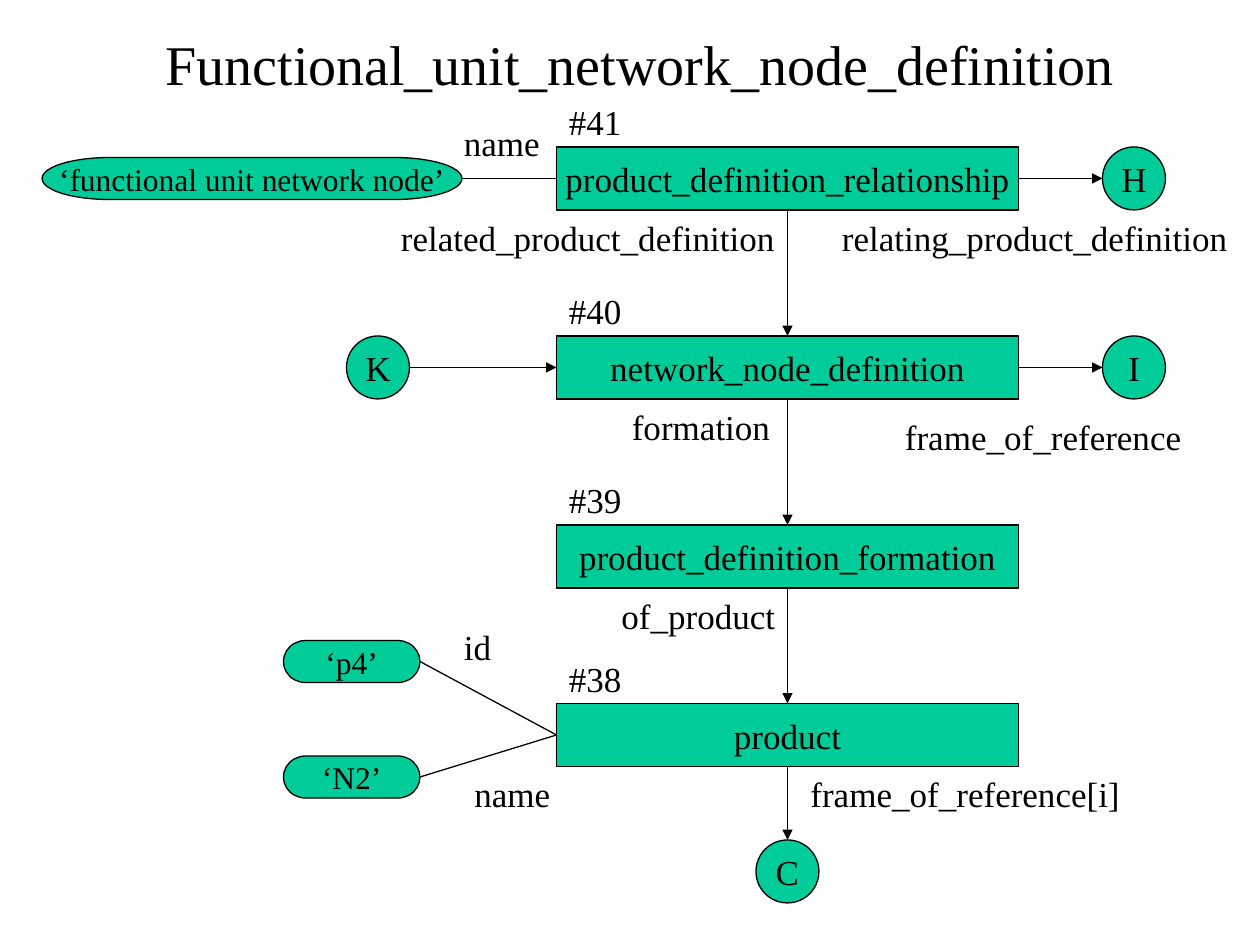
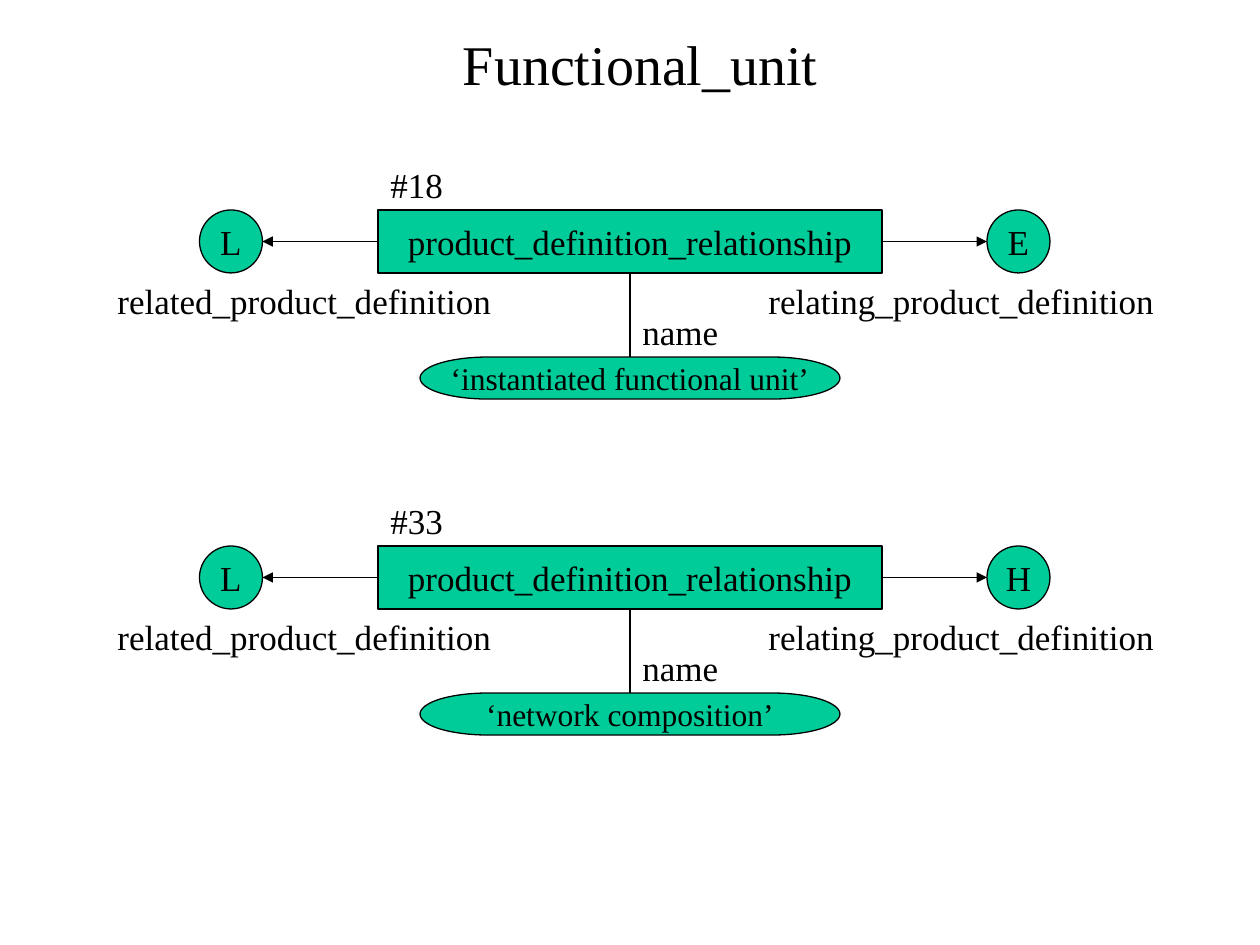
from pptx import Presentation
from pptx.dml.color import RGBColor
from pptx.enum import shapes, text
from pptx.oxml import xmlchemy as xml
from pptx.util import Inches, Pt

FONT = "Times New Roman"
HUES = {"ink": "000000", "node": "00CC99", "page": "FFFFFF"}
KIND = shapes.MSO_SHAPE
MID = text.MSO_ANCHOR.MIDDLE
NODE_H, PILL_H, DOT = 0.5, 0.33, 0.5
TAG_UP = 0.42  # rise of a "#" tag above its entity


def hue(name):
    return RGBColor.from_string(HUES[name])


def snap(inches):
    """A length on the grid of twelfths of an inch."""
    return Inches(round(inches * 12) / 12)


def write(frame, words, size=20, align=text.PP_ALIGN.CENTER, anchor=MID, wrap=False):
    frame.word_wrap = wrap
    frame.vertical_anchor = anchor
    para = frame.paragraphs[0]
    para.alignment = align
    run = para.add_run()
    run.text = words
    run.font.size = Pt(size)
    run.font.name = FONT
    run.font.color.rgb = hue("ink")


def start(deck, words):
    """Add a slide with the shared background and title style."""
    slide = deck.slides.add_slide(deck.slide_layouts[5])
    slide.background.fill.solid()
    slide.background.fill.fore_color.rgb = hue("page")
    title = slide.shapes.title
    title.left, title.top = snap(0.83), snap(0.17)
    title.width, title.height = snap(8.5), snap(0.67)
    write(title.text_frame, words, size=32, wrap=True)
    return slide


def shape(slide, kind, words, x, y, w, h, size=20):
    item = slide.shapes.add_shape(kind, snap(x), snap(y), snap(w), snap(h))
    item.shadow.inherit = False
    item.fill.solid()
    item.fill.fore_color.rgb = hue("node")
    item.line.color.rgb = hue("ink")
    item.line.width = Pt(0.75)
    write(item.text_frame, words, size=size)
    return item


def label(slide, words, x, y, w):
    """One line of text, with no right inset so that it never breaks."""
    box = slide.shapes.add_textbox(snap(x), snap(y), Inches(w), Inches(0.44))
    box.text_frame.margin_right = 0
    write(box.text_frame, words, align=text.PP_ALIGN.LEFT,
          anchor=text.MSO_ANCHOR.TOP, wrap=True)


def node(slide, tag, words, x, y, w):
    """An entity box with its instance tag above the left corner."""
    label(slide, tag, x, y - TAG_UP, 0.61)
    return shape(slide, KIND.RECTANGLE, words, x, y, w, NODE_H)


def dot(slide, words, x, y):
    return shape(slide, KIND.FLOWCHART_CONNECTOR, words, x, y, DOT, DOT)


def pill(slide, words, x, y, w):
    return shape(slide, KIND.FLOWCHART_TERMINATOR, words, x, y, w, PILL_H, size=18)


def side(item, edge):
    """The middle of one edge: left, right, top or bottom."""
    across = {"left": 0, "right": 2}.get(edge, 1)
    down = {"top": 0, "bottom": 2}.get(edge, 1)
    return item.left + item.width * across // 2, item.top + item.height * down // 2


def link(slide, first, leave, last, enter, arrow=True):
    line = slide.shapes.add_connector(
        shapes.MSO_CONNECTOR.STRAIGHT, *side(first, leave), *side(last, enter))
    line.line.color.rgb = hue("ink")
    line.line.width = Pt(0.75)
    if arrow:
        tail = xml.OxmlElement("a:tailEnd")
        tail.set("type", "triangle")
        line.line._get_or_add_ln().append(tail)
    line._element.spPr.append(xml.OxmlElement("a:effectLst"))


def network(deck):
    slide = start(deck, "Functional_unit_network_node_definition")

    # Entity column, linked downwards
    rows = [("#41", "product_definition_relationship", 1.17),
            ("#40", "network_node_definition", 2.67),
            ("#39", "product_definition_formation", 4.17),
            ("#38", "product", 5.58)]
    nodes = [node(slide, tag, words, 4.42, y, 3.67) for tag, words, y in rows]
    chain = nodes + [dot(slide, "C", 6, 6.67)]
    for upper, lower in zip(chain, chain[1:]):
        link(slide, upper, "bottom", lower, "top")

    # References to other diagrams
    for words, row in (("H", 0), ("I", 1)):
        link(slide, nodes[row], "right", dot(slide, words, 8.75, rows[row][2]), "left")
    link(slide, dot(slide, "K", 2.75, 2.67), "right", nodes[1], "left")

    # Attribute values
    for words, x, y, w, row in (("‘functional unit network node’", 0.33, 1.25, 3.33, 0),
                                ("‘p4’", 2.25, 5.08, 1.08, 3),
                                ("‘N2’", 2.25, 6, 1.08, 3)):
        value = pill(slide, words, x, y, w)
        link(slide, value, "right", nodes[row], "left", arrow=False)

    # Attribute names
    for words, x, y, w in (("name", 3.58, 0.92, 0.8),
                           ("related_product_definition", 3.08, 1.67, 3.17),
                           ("relating_product_definition", 6.58, 1.67, 3.26),
                           ("formation", 4.92, 3.17, 1.3),
                           ("frame_of_reference", 7.08, 3.25, 2.39),
                           ("of_product", 4.83, 4.67, 1.42),
                           ("id", 3.58, 4.92, 0.41),
                           ("name", 3.67, 6.08, 0.8),
                           ("frame_of_reference[i]", 6.33, 6.08, 2.65)):
        label(slide, words, x, y, w)


def relation(slide, tag, target, words, y):
    """One relationship with both its ends and its name, from height y."""
    core = node(slide, tag, "product_definition_relationship", 3, y, 4)
    link(slide, core, "left", dot(slide, "L", 1.58, y), "right")
    link(slide, core, "right", dot(slide, target, 7.83, y), "left")
    value = pill(slide, words, 3.33, y + 1.17, 3.33)
    link(slide, core, "bottom", value, "top", arrow=False)
    label(slide, "related_product_definition", 0.83, y + NODE_H, 3.17)
    label(slide, "relating_product_definition", 6, y + NODE_H, 3.26)
    label(slide, "name", 5, y + 0.75, 0.8)


def unit(deck):
    slide = start(deck, "Functional_unit")
    relation(slide, "#18", "E", "‘instantiated functional unit’", 1.67)
    relation(slide, "#33", "H", "‘network composition’", 4.33)


def main():
    deck = Presentation()
    deck.slide_width, deck.slide_height = Inches(10), Inches(7.5)
    network(deck)
    unit(deck)
    deck.save("out.pptx")


if __name__ == "__main__":
    main()
